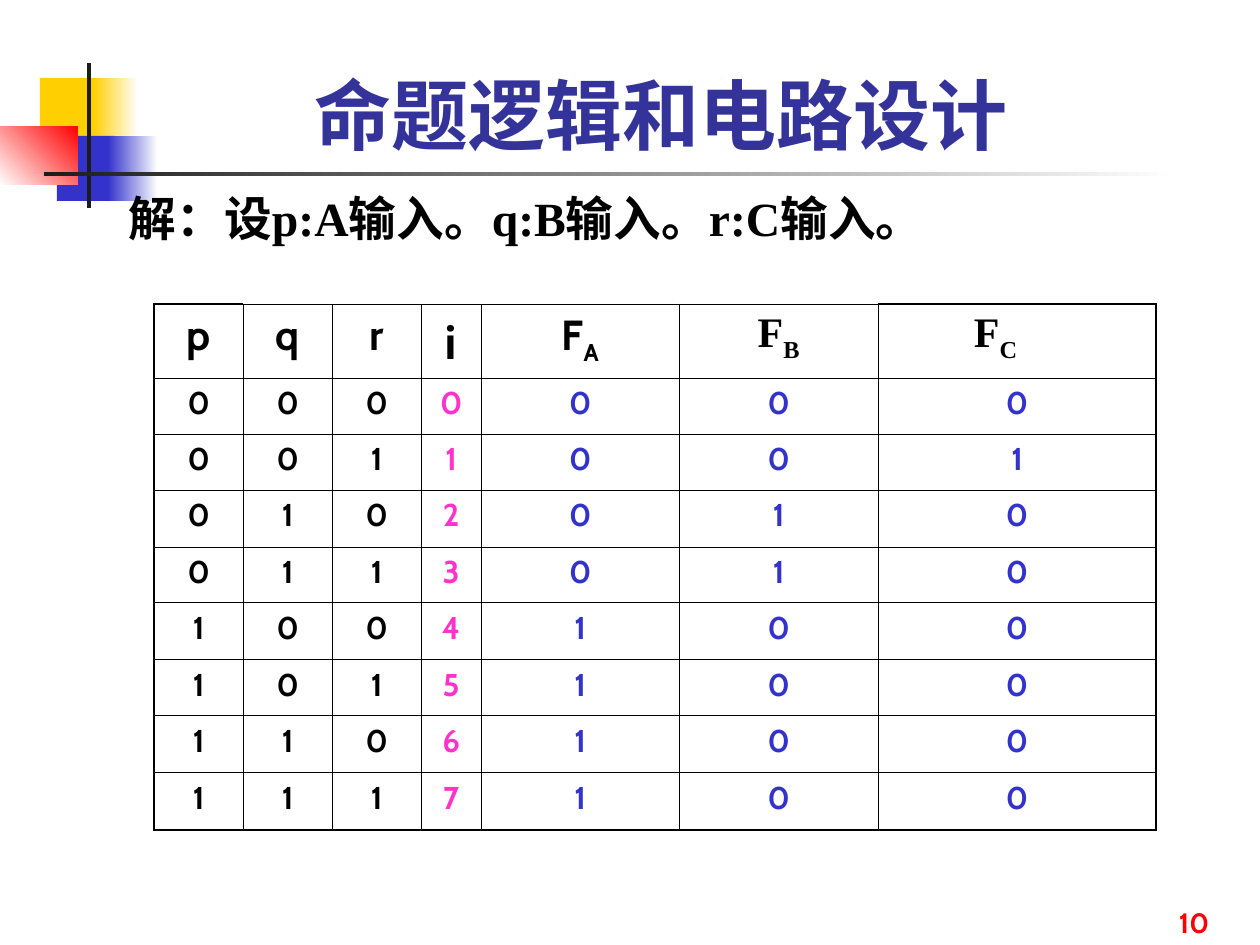
from lxml import etree
from pptx import Presentation
from pptx.dml.color import RGBColor
from pptx.enum.shapes import MSO_SHAPE
from pptx.enum.text import MSO_ANCHOR, PP_ALIGN
from pptx.oxml.ns import qn
from pptx.util import Pt

RECTANGLE = MSO_SHAPE.RECTANGLE
TOP, MIDDLE, BOTTOM = MSO_ANCHOR.TOP, MSO_ANCHOR.MIDDLE, MSO_ANCHOR.BOTTOM
LEFT, CENTER = PP_ALIGN.LEFT, PP_ALIGN.CENTER

BLACK = RGBColor(0x00, 0x00, 0x00)
WHITE = RGBColor(0xFF, 0xFF, 0xFF)
CHARCOAL = RGBColor(0x1C, 0x1C, 0x1C)
YELLOW = RGBColor(0xFF, 0xCF, 0x01)
BLUE = RGBColor(0x33, 0x33, 0xCC)
RED = RGBColor(0xFF, 0x00, 0x00)
NAVY = RGBColor(0x33, 0x33, 0x99)
PINK = RGBColor(0xFF, 0x33, 0xCC)

CABIN = "Cabin"
NOTO = "Noto Sans CJK SC"
TIMES = "Times New Roman"

EMU_PER_PX = 914400 / 126
THICK, THIN = 1.08, 0.45


def px(length):
    return round(length * EMU_PER_PX)


def assign(target, values):
    for name, value in values.items():
        setattr(target, name, value)


class SlideBuilder:
    def __init__(self, slide):
        self.slide = slide
        self.east_asian = NOTO

    def block(self, left, top, width, height, *colors, angle=0):
        shape = self.slide.shapes.add_shape(
            RECTANGLE, px(left), px(top), px(width), px(height))
        shape.shadow.inherit = False
        shape.line.fill.background()
        if len(colors) == 1:
            shape.fill.solid()
            shape.fill.fore_color.rgb = colors[0]
            return
        shape.fill.gradient()
        shape.fill.gradient_angle = angle
        for stop, color in zip(shape.fill.gradient_stops, colors):
            stop.color.rgb = color

    def add_runs(self, paragraph, content, size, color, font=CABIN, subscript="", **layout):
        assign(paragraph, layout)
        for part, baseline in ((content, None), (subscript, "-25000")):
            if not part:
                continue
            run = paragraph.add_run()
            run.text = part
            assign(run.font, {"name": font, "size": Pt(size), "bold": True})
            run.font.color.rgb = color
            properties = run._r.get_or_add_rPr()
            etree.SubElement(properties, qn("a:ea"), typeface=self.east_asian)
            if baseline:
                properties.set("baseline", baseline)

    def text(self, left, top, width, height, content, size, color,
             font=CABIN, anchor=TOP, inset=13, **layout):
        frame = self.slide.shapes.add_textbox(
            px(left), px(top), px(width), px(height)).text_frame
        assign(frame, {"word_wrap": True, "vertical_anchor": anchor,
                       "margin_left": px(inset)})
        self.add_runs(frame.paragraphs[0], content, size, color, font, **layout)

    def border(self, cell, widths):
        properties = cell._tc.get_or_add_tcPr()
        for side, width in widths.items():
            line = etree.SubElement(properties, qn(f"a:ln{side}"), w=str(int(Pt(width))))
            fill = etree.SubElement(line, qn("a:solidFill"))
            etree.SubElement(fill, qn("a:srgbClr"), val=str(BLACK))

    def truth_table(self, left, top, widths, heights, headings, rows, colors):
        table = self.slide.shapes.add_table(
            len(heights), len(widths), px(left), px(top),
            px(sum(widths)), px(sum(heights))).table
        assign(table, {"first_row": False, "horz_banding": False})
        for column, width in zip(table.columns, widths):
            column.width = px(width)
        for row, height in zip(table.rows, heights):
            row.height = px(height)
        last_row, last_column = len(heights) - 1, len(widths) - 1
        body = [[{"content": value, "size": 18, "color": color}
                 for value, color in zip(row, colors)] for row in rows]
        for r, row in enumerate([headings] + body):
            for c, entry in enumerate(row):
                cell = table.cell(r, c)
                thick = {"L": c == 0, "R": c == last_column,
                         "T": r == 0 and c in (0, last_column), "B": r == last_row}
                self.border(cell, {side: THICK if outer else THIN
                                   for side, outer in thick.items()})
                cell.fill.background()
                cell.vertical_anchor = TOP
                entry = {"alignment": CENTER, **entry}
                cell.margin_left = px(entry.pop("inset", 13))
                self.add_runs(cell.text_frame.paragraphs[0], **entry)


def heading(content, **options):
    return {"content": content, "size": 24, "color": BLACK, **options}


def main():
    presentation = Presentation()
    assign(presentation, {"slide_width": px(1260), "slide_height": px(945)})
    builder = SlideBuilder(presentation.slides.add_slide(presentation.slide_layouts[6]))

    builder.block(40, 78, 61, 65, YELLOW)
    builder.block(93, 78, 45, 65, YELLOW, WHITE)
    builder.block(57, 136, 58, 65, BLUE)
    builder.block(108, 136, 50, 65, BLUE, WHITE)
    builder.block(0, 126, 78, 59, WHITE, RED, angle=45)
    builder.block(87, 63, 4, 145, CHARCOAL)
    builder.block(44, 172, 1134, 4, CHARCOAL, WHITE)

    builder.text(1166, 882, 94, 63, "10", 16, RED, anchor=BOTTOM)
    builder.text(116, 189, 1080, 86, "解：设p:A输入。q:B输入。r:C输入。",
                 27.2, BLACK, TIMES, line_spacing=0.9)

    headings = [
        heading("p"), heading("q"), heading("r"), heading("i", font=NOTO),
        heading("F", subscript="A"),
        heading("F", subscript="B", font=TIMES),
        heading("F", subscript="C", font=TIMES, alignment=LEFT, inset=96),
    ]
    outputs = ["000", "001", "010", "010", "100", "100", "100", "100"]
    rows = [f"{i:03b}{i}{output}" for i, output in enumerate(outputs)]
    builder.truth_table(
        154, 304, [89, 89, 89, 60, 198, 199, 278],
        [74, 56, 56, 57, 56, 57, 56, 57, 57], headings, rows,
        [BLACK] * 3 + [PINK] + [BLUE] * 3)

    builder.text(233, 66, 843, 95, "命题逻辑和电路设计", 44, NAVY,
                 anchor=MIDDLE, inset=82)
    presentation.save("out.pptx")


if __name__ == "__main__":
    main()
